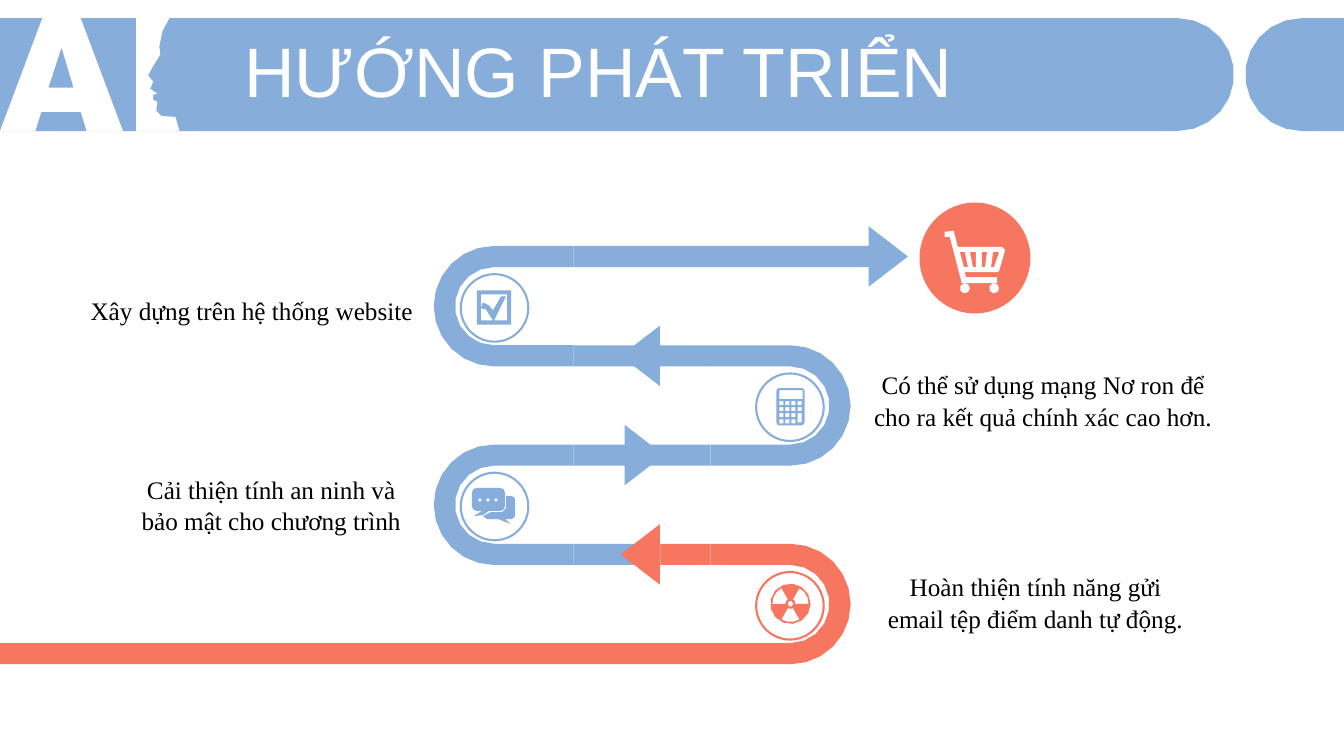
from dataclasses import dataclass
from math import acos, ceil, cos, radians, sin

from pptx import Presentation
from pptx.dml.color import RGBColor
from pptx.enum.shapes import MSO_SHAPE as Shape
from pptx.enum.text import MSO_ANCHOR as Anchor, MSO_AUTO_SIZE as AutoSize, PP_ALIGN as Align
from pptx.util import Inches, Pt


@dataclass(frozen=True)
class Theme:
    blue: RGBColor = RGBColor(0x87, 0xAD, 0xDB)
    coral: RGBColor = RGBColor(0xF7, 0x76, 0x60)
    white: RGBColor = RGBColor(0xFF, 0xFF, 0xFF)
    black: RGBColor = RGBColor(0, 0, 0)
    title_font: str = "Arial"
    body_font: str = "Times New Roman"
    title_size: Pt = Pt(50)
    body_size: Pt = Pt(18)
    ring_line: Pt = Pt(1.5)


THEME = Theme()
BLUE, CORAL, WHITE = THEME.blue, THEME.coral, THEME.white

TITLE = "HƯỚNG PHÁT TRIỂN"
LOOSE = {"line_spacing": 1.07, "space_after": Pt(8)}
# text, (left, top, width, height), paragraph format
STEPS = [
    ("Xây dựng trên hệ thống website", (0.8, 2.86, 3.6, 0.41),
     {"alignment": Align.LEFT, **LOOSE}),
    ("Có thể sử dụng mạng Nơ ron để cho ra kết quả chính xác cao hơn.",
     (8.55, 3.6, 3.59, 0.73), {"alignment": Align.CENTER, **LOOSE}),
    ("Cải thiện tính an ninh và bảo mật cho chương trình",
     (1.2, 4.67, 2.98, 0.68), {"alignment": Align.CENTER}),
    ("Hoàn thiện tính năng gửi email tệp điểm danh tự động.",
     (8.63, 5.6, 3.28, 0.73), {"alignment": Align.CENTER, **LOOSE}),
]

# The road: rows run from the top (0) to the bottom (4)
ROAD_TOP, ROW_PITCH, BAND = 2.44, 0.985, 0.21
ARROW_WIDTH, ARROW_LENGTH = 0.6, 0.39
LEFT_END, RIGHT_END = 5.69, 7.05
BARS = [  # row, left, right, colour
    (0, LEFT_END, 8.69, BLUE),
    (1, LEFT_END, 6.55, BLUE),
    (1, 6.54, RIGHT_END, BLUE),
    (2, LEFT_END, 6.3, BLUE),
    (2, 6.19, RIGHT_END, BLUE),
    (3, LEFT_END, 6.55, BLUE),
    (3, 6.55, RIGHT_END, CORAL),
    (4, 0, RIGHT_END, CORAL),
]
BENDS = [  # upper row, arm end, centre of the turn, ring left, colour
    (0, LEFT_END, 4.9, 4.57, BLUE),
    (1, RIGHT_END, 7.84, 7.5, BLUE),
    (2, LEFT_END, 4.9, 4.57, BLUE),
    (3, RIGHT_END, 7.84, 7.5, CORAL),
]
ARROWS = [  # row, centre, rotation, colour
    (0, 8.81, 90, BLUE),
    (1, 6.35, 270, BLUE),
    (2, 6.39, 90, BLUE),
    (3, 6.35, 270, CORAL),
]
RING_OFFSET, RING_SIZE = 0.28, 0.67

LETTER_A = [(0.42, 0.18), (0.8, 0.18), (1.22, 1.3), (0.86, 1.3), (0.8, 1.11),
            (0.41, 1.11), (0.35, 1.3), (0, 1.3)]
LETTER_A_HOLE = [(0.61, 0.47), (0.48, 0.87), (0.73, 0.87)]
FACE_LETTER = [
    (1.35, 0.18), (1.68, 0.18), (1.61, 0.31), (1.58, 0.46), (1.59, 0.54), (1.51, 0.67),
    (1.47, 0.75), (1.52, 0.81), (1.49, 0.88), (1.56, 0.93), (1.52, 0.94), (1.52, 0.99),
    (1.56, 1.01), (1.55, 1.1), (1.6, 1.15), (1.74, 1.16), (1.78, 1.3), (1.35, 1.3)]

CART = [(9.37, 2.3), (9.46, 2.29), (9.5, 2.45), (9.94, 2.45), (9.97, 2.48), (9.91, 2.69),
        (9.89, 2.7), (9.57, 2.7), (9.58, 2.75), (9.89, 2.75), (9.89, 2.81), (9.54, 2.81),
        (9.42, 2.35), (9.37, 2.35)]
CART_SLOTS = [
    [(9.85, 2.5), (9.83, 2.65), (9.86, 2.65), (9.91, 2.5)],
    [(9.74, 2.5), (9.74, 2.65), (9.77, 2.65), (9.79, 2.5)],
    [(9.62, 2.5), (9.65, 2.65), (9.68, 2.65), (9.68, 2.5)],
    [(9.52, 2.5), (9.56, 2.65), (9.6, 2.65), (9.57, 2.5)],
]
CHECK_FRAME = [(4.73, 2.88), (5.07, 2.88), (5.07, 3.22), (4.73, 3.22)]
CHECK_HOLE = [(4.77, 2.92), (4.77, 3.18), (4.89, 3.18), (4.82, 3.07), (4.77, 3.06),
              (4.79, 3), (4.85, 3.03), (4.89, 3.08), (4.97, 2.94), (5.02, 2.94),
              (4.9, 3.18), (5.03, 3.18), (5.03, 2.92)]
FRONT_TAIL = [(4.85, 5.07), (4.79, 5.11), (4.7, 5.12), (4.78, 5.07)]
BACK_TAIL = [(5.01, 5.15), (5.07, 5.2), (4.94, 5.15), (4.83, 5.15), (4.79, 5.12),
             (4.87, 5.08), (4.98, 5.08), (5.02, 5.04)]
FLATNESS = 0.006


def arc(x, y, radius, start, end):
    """Points along a circle, in degrees clockwise, as few as FLATNESS allows."""
    step = 2 * acos(1 - FLATNESS / radius)
    count = max(2, ceil(radians(abs(end - start)) / step))
    angles = [radians(start + (end - start) * i / count) for i in range(count + 1)]
    return [(x + radius * cos(a), y + radius * sin(a)) for a in angles]


def circle(x, y, radius):
    return arc(x, y, radius, 0, 360)[:-1]


def rectangle(left, top, right, bottom):
    return [(left, top), (right, top), (right, bottom), (left, bottom)]


def rounded(left, top, right, bottom, radius, tail=()):
    """Rounded rectangle; tail points go into its bottom side."""
    x0, x1, y0, y1 = left + radius, right - radius, top + radius, bottom - radius
    return (arc(x0, y0, radius, 180, 270) + arc(x1, y0, radius, 270, 360)
            + arc(x1, y1, radius, 0, 90) + list(tail) + arc(x0, y1, radius, 90, 180))


def calculator():
    keys = [(7.73 + 0.06 * col, 3.98 + 0.06 * row, 0.09 if (col, row) == (3, 2) else 0.04)
            for col in range(4) for row in range(4) if (col, row) != (3, 3)]
    return [rounded(7.7, 3.85, 7.98, 4.22, 0.03), rectangle(7.73, 3.87, 7.96, 3.96),
            *(rectangle(x, y, x + 0.04, y + height) for x, y, height in keys)]


def chat():
    back = [(5.02, 4.92), *arc(5.07, 4.96, 0.04, 270, 360),
            *arc(5.07, 5.11, 0.04, 0, 90), *BACK_TAIL]
    dots = [circle(4.76 + 0.08 * i, 4.96, 0.02) for i in range(3)]
    return [rounded(4.68, 4.84, 5.01, 5.07, 0.05, FRONT_TAIL), back, *dots]


def radiation(x=7.84, y=5.99):
    blades = [arc(x, y, 0.18, start, start + 60) + arc(x, y, 0.05, start + 60, start)
              for start in (60, 180, 300)]
    return [circle(x, y, 0.2), circle(x, y, 0.03), *blades]


def row_top(row):
    return ROAD_TOP + ROW_PITCH * row


def bend(row, arm_end, turn):
    sweep = (-90, 90) if turn > arm_end else (270, 90)
    top, bottom = row_top(row), row_top(row + 1) + BAND
    middle, outer = (top + bottom) / 2, (bottom - top) / 2
    return [[(arm_end, top), *arc(turn, middle, outer, *sweep), (arm_end, bottom),
             (arm_end, bottom - BAND), *arc(turn, middle, outer - BAND, *sweep[::-1]),
             (arm_end, top + BAND)]]


def paint(shape, fill=None, line=None):
    shape.shadow.inherit = False
    if fill is None:
        shape.fill.background()
    else:
        shape.fill.solid()
        shape.fill.fore_color.rgb = fill
    if line is None:
        shape.line.fill.background()
    else:
        shape.line.color.rgb = line
        shape.line.width = THEME.ring_line


def add_preset(page, kind, area, rotation=0, **colors):
    shape = page.shapes.add_shape(kind, *map(Inches, area))
    shape.rotation = rotation
    paint(shape, **colors)


def add_outline(page, contours, fill):
    """Draw closed contours as one shape; inner contours become holes."""
    first, *rest = [[(Inches(x), Inches(y)) for x, y in points] for points in contours]
    builder = page.shapes.build_freeform(*first[0], scale=1.0)
    builder.add_line_segments(first[1:], close=True)
    for points in rest:
        builder.move_to(*points[0])
        builder.add_line_segments(points[1:], close=True)
    paint(builder.convert_to_shape(), fill)


def write(box, text, frame_format, para_format, font_format, color):
    frame = box.text_frame
    para = frame.paragraphs[0]
    span = para.add_run()
    span.text = text
    for target, values in ((frame, frame_format), (para, para_format), (span.font, font_format)):
        for name, value in values.items():
            setattr(target, name, value)
    span.font.color.rgb = color


def add_header(page):
    add_outline(page, [[(0, 0.18), *arc(11.68, 0.74, 0.56, -90, 90), (0, 1.3)]], BLUE)
    add_outline(page, [LETTER_A, LETTER_A_HOLE, FACE_LETTER], WHITE)
    add_outline(page, [[(13.33, 1.3), *arc(12.91, 0.74, 0.56, 90, 270), (13.33, 0.18)]], BLUE)
    title = page.shapes.title
    title.element.getparent().append(title.element)
    title.left, title.top, title.width, title.height = map(Inches, (2.32, 0.37, 10.69, 0.79))
    write(title, TITLE,
          {"vertical_anchor": Anchor.MIDDLE, "word_wrap": True, "auto_size": AutoSize.NONE},
          {"alignment": Align.LEFT, "line_spacing": 0.8},
          {"name": THEME.title_font, "size": THEME.title_size}, WHITE)


def add_road(page):
    for row, left, right, color in BARS:
        add_preset(page, Shape.RECTANGLE, (left, row_top(row), right - left, BAND), fill=color)
    for row, arm_end, turn, ring_left, color in BENDS:
        add_outline(page, bend(row, arm_end, turn), color)
        ring = (ring_left, row_top(row) + RING_OFFSET, RING_SIZE, RING_SIZE)
        add_preset(page, Shape.OVAL, ring, line=color)
    for row, center, rotation, color in ARROWS:
        top = row_top(row) + (BAND - ARROW_LENGTH) / 2
        area = (center - ARROW_WIDTH / 2, top, ARROW_WIDTH, ARROW_LENGTH)
        add_preset(page, Shape.ISOSCELES_TRIANGLE, area, rotation, fill=color)


def add_icons(page):
    add_preset(page, Shape.OVAL, (9.12, 2.01, 1.1, 1.1), fill=CORAL)
    wheels = [circle(x, 2.86, 0.05) for x in (9.57, 9.86)]
    for contours, color in (([CART, *CART_SLOTS, *wheels], WHITE), (calculator(), BLUE),
                            ([CHECK_FRAME, CHECK_HOLE], BLUE), (chat(), BLUE),
                            (radiation(), CORAL)):
        add_outline(page, contours, color)


def add_steps(page):
    for text, area, para_format in STEPS:
        write(page.shapes.add_textbox(*map(Inches, area)), text,
              {"vertical_anchor": Anchor.MIDDLE, "word_wrap": True,
               "auto_size": AutoSize.SHAPE_TO_FIT_TEXT}, para_format,
              {"name": THEME.body_font, "size": THEME.body_size}, THEME.black)


def main():
    deck = Presentation()
    deck.slide_width, deck.slide_height = Inches(13.33), Inches(7.5)
    page = deck.slides.add_slide(deck.slide_layouts.get_by_name("Title Only"))
    for add_part in (add_header, add_road, add_icons, add_steps):
        add_part(page)
    deck.save("out.pptx")


if __name__ == "__main__":
    main()
